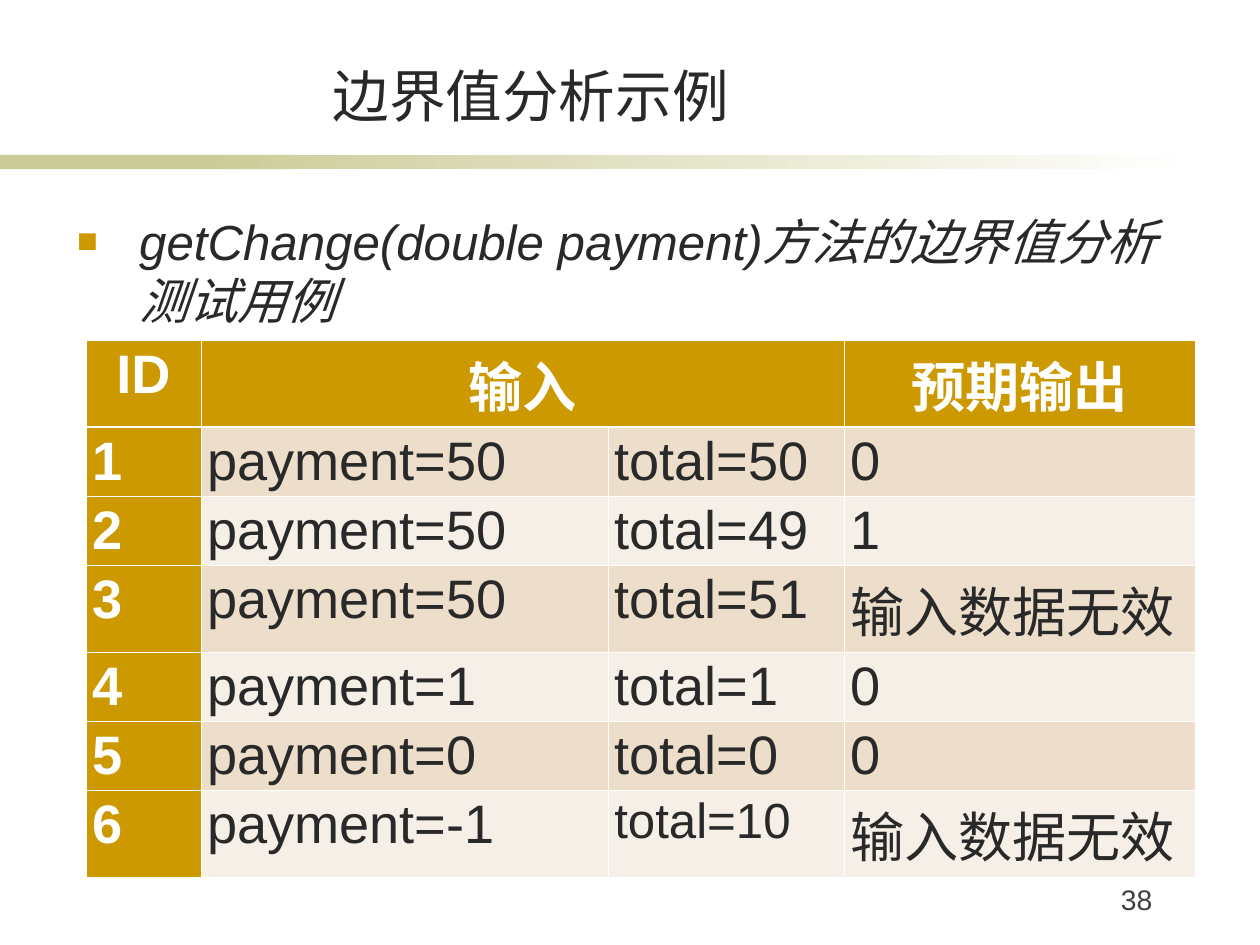
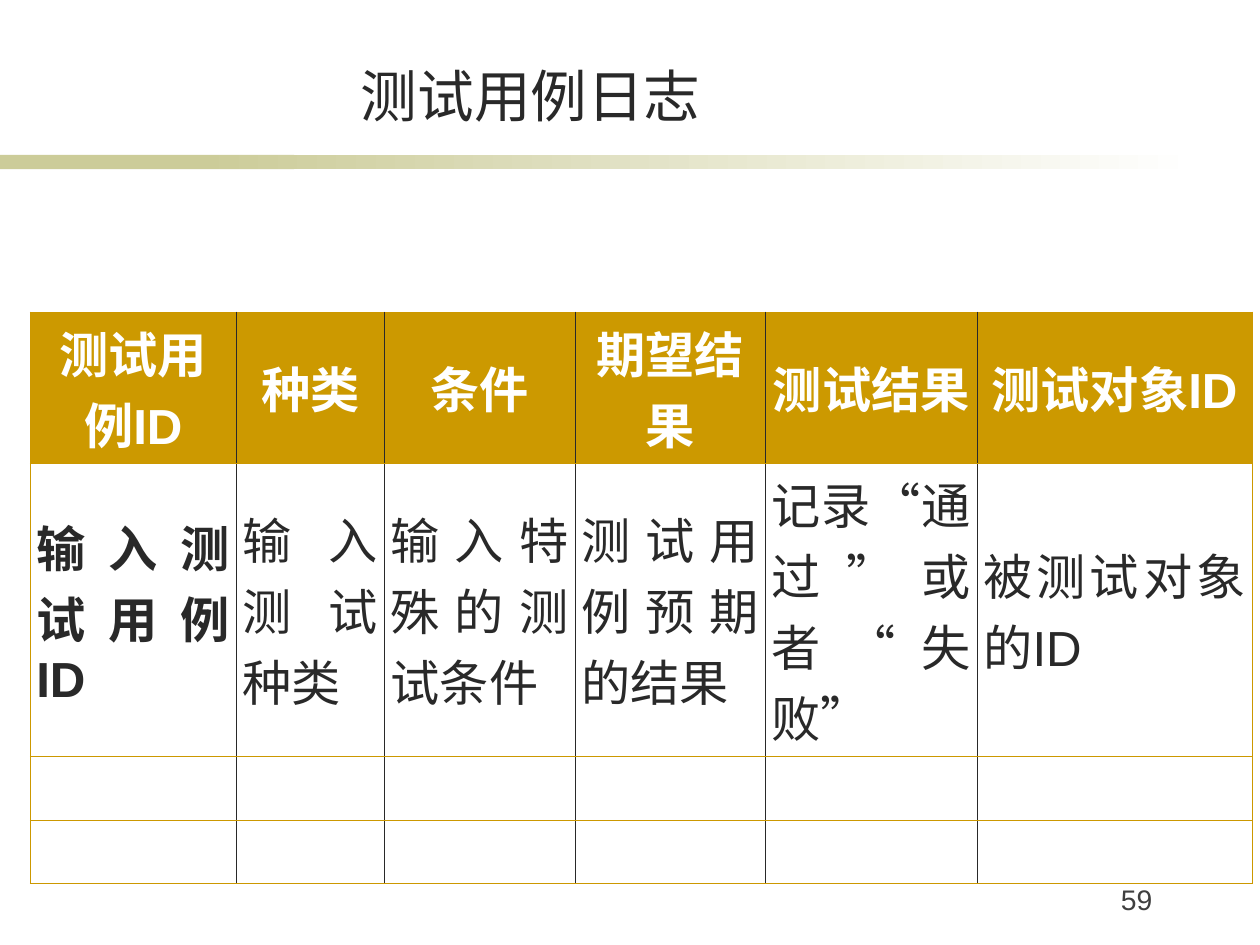
from dataclasses import dataclass
from typing import Any, Optional

import lxml.etree
import pptx
import pptx.dml.color
import pptx.enum.lang
import pptx.enum.shapes
import pptx.enum.text
import pptx.oxml.ns
import pptx.util

Cm = pptx.util.Cm
Pt = pptx.util.Pt
qn = pptx.oxml.ns.qn
Align = pptx.enum.text.PP_ALIGN
Anchor = pptx.enum.text.MSO_ANCHOR

FONT = "Arial"
INK = "292929"
GOLD = "CC9900"
RULE_GOLD = "CC9800"
WHITE = "FFFFFF"
OLIVE = "CCCC99"
STRIPES = ("F6EFE7", "ECDECB")


@dataclass(frozen=True)
class Box:
    left: float
    top: float
    width: float
    height: float


@dataclass(frozen=True)
class Band:
    box: Box
    fade_to: Optional[str] = None


@dataclass(frozen=True)
class Line:
    color: str
    width: float


@dataclass(frozen=True)
class CellStyle:
    color: str = INK
    fill: Optional[str] = None
    bold: bool = False
    size: float = 40
    align: Any = Align.JUSTIFY
    anchor: Any = Anchor.TOP


@dataclass(frozen=True)
class Grid:
    left: float
    top: float
    cols: tuple[float, ...]
    rows: tuple[float, ...]
    texts: tuple[tuple[str, ...], ...]


TITLE_BOX = Box(4.11, 1.58, 22.2, 2.29)
BODY_BOX = Box(1.85, 5.87, 32.16, 17.35)
NUMBER_BOX = Box(29.72, 25.1, 3.68, 1.8)
BANDS = (
    Band(Box(0, 4.44, 8.43, 0.41)),
    Band(Box(5.72, 4.44, 28.6, 0.41), WHITE),
)

BOUNDARY_CASES = Grid(
    2.46, 9.75, (3.3, 11.67, 6.76, 10.07), (1.85,) * 7,
    (
        ("ID", "输入", "", "预期输出"),
        ("1", "payment=50", "total=50", "0"),
        ("2", "payment=50", "total=49", "1"),
        ("3", "payment=50", "total=51", "输入数据无效"),
        ("4", "payment=1", "total=1", "0"),
        ("5", "payment=0", "total=0", "0"),
        ("6", "payment=-1", "total=10", "输入数据无效"),
    ),
)
CASE_LOG = Grid(
    0.86, 8.94, (5.92, 4.24, 5.46, 5.46, 6.07, 7.88), (3.38, 6.78, 1.83, 1.83),
    (
        ("测试用例ID", "种类", "条件", "期望结果", "测试结果", "测试对象ID"),
        ("输入测试用例ID", "输入测试种类", "输入特殊的测试条件", "测试用例预期的结果",
         "记录“通过”或者“失败”", "被测试对象的ID"),
        ("",) * 6,
        ("",) * 6,
    ),
)


def rgb(value: str) -> pptx.dml.color.RGBColor:
    return pptx.dml.color.RGBColor.from_string(value)


def area(box: Box) -> tuple[int, int, int, int]:
    return Cm(box.left), Cm(box.top), Cm(box.width), Cm(box.height)


def place(sp: Any, box: Box) -> None:
    sp.left, sp.top, sp.width, sp.height = area(box)


def set_frame(tf: Any, anchor: Any) -> None:
    tf.word_wrap = True
    tf.auto_size = pptx.enum.text.MSO_AUTO_SIZE.NONE
    tf.vertical_anchor = anchor
    tf.margin_left = tf.margin_right = Cm(0.36)
    tf.margin_top = tf.margin_bottom = Cm(0.18)


def write(p: Any, text: str, size: float, color: str, align: Any = Align.LEFT,
          bold: bool = False, italic: bool = False) -> None:
    p.alignment = align
    r = p.add_run()
    r.text = text
    r.font.name = FONT
    r.font.size = Pt(size)
    r.font.bold = bold
    r.font.italic = italic
    r.font.color.rgb = rgb(color)
    r.font.language_id = pptx.enum.lang.MSO_LANGUAGE_ID.SIMPLIFIED_CHINESE


def set_up_master(prs: Any) -> None:
    master = prs.slide_master
    kinds = pptx.enum.shapes.PP_PLACEHOLDER
    for sp in master.placeholders:
        if sp.placeholder_format.type == kinds.TITLE:
            place(sp, TITLE_BOX)
            set_frame(sp.text_frame, Anchor.BOTTOM)
        elif sp.placeholder_format.type == kinds.BODY:
            place(sp, BODY_BOX)
            set_frame(sp.text_frame, Anchor.TOP)


def move_bands_to_master(prs: Any, s: Any) -> None:
    tree = prs.slide_master.shapes.element
    for i, band in enumerate(BANDS):
        sp = s.shapes.add_shape(pptx.enum.shapes.MSO_SHAPE.RECTANGLE, *area(band.box))
        sp.shadow.inherit = False
        sp.line.fill.background()
        if band.fade_to:
            sp.fill.gradient()
            sp.fill.gradient_angle = 0
            for stop, color in zip(sp.fill.gradient_stops, (OLIVE, band.fade_to)):
                stop.color.rgb = rgb(color)
        else:
            sp.fill.solid()
            sp.fill.fore_color.rgb = rgb(OLIVE)
        sp.element.nvSpPr.cNvPr.set("id", str(20 + i))
        tree.insert(2 + i, sp.element)


def add_slide(prs: Any, layout: str, title: str) -> Any:
    s = prs.slides.add_slide(prs.slide_layouts.get_by_name(layout))
    write(s.shapes.title.text_frame.paragraphs[0], title, 46, INK, Align.CENTER)
    return s


def add_number(s: Any, number: int) -> None:
    tf = s.shapes.add_textbox(*area(NUMBER_BOX)).text_frame
    set_frame(tf, Anchor.TOP)
    write(tf.paragraphs[0], str(number), 23, "3F3F3F", Align.RIGHT)


def write_bullet(p: Any, text: str) -> None:
    p.space_before = Pt(0)
    p.line_spacing = 1.0
    pPr = p._p.get_or_add_pPr()
    pPr.set("marL", str(Cm(1.78)))
    pPr.set("indent", str(-Cm(1.78)))
    color = lxml.etree.SubElement(pPr, qn("a:buClr"))
    lxml.etree.SubElement(color, qn("a:srgbClr"), val=GOLD)
    lxml.etree.SubElement(pPr, qn("a:buSzPct"), val="70000")
    lxml.etree.SubElement(pPr, qn("a:buFont"), typeface=FONT)
    lxml.etree.SubElement(pPr, qn("a:buChar"), char="■")
    write(p, text, 40, INK, italic=True)


def set_borders(cell: Any, left: Line, right: Line, top: Line, bottom: Line) -> None:
    tcPr = cell._tc.get_or_add_tcPr()
    for i, (side, line) in enumerate(zip("LRTB", (left, right, top, bottom))):
        ln = lxml.etree.Element(qn(f"a:ln{side}"), w=str(Pt(line.width)))
        fill = lxml.etree.SubElement(ln, qn("a:solidFill"))
        lxml.etree.SubElement(fill, qn("a:srgbClr"), val=line.color)
        tcPr.insert(i, ln)


def fill_cell(cell: Any, text: str, style: CellStyle) -> None:
    cell.margin_left = cell.margin_right = Cm(0.18)
    cell.margin_top = cell.margin_bottom = Cm(0.12)
    cell.vertical_anchor = style.anchor
    if style.fill:
        cell.fill.solid()
        cell.fill.fore_color.rgb = rgb(style.fill)
    else:
        cell.fill.background()
    if text:
        write(cell.text_frame.paragraphs[0], text, style.size, style.color,
              style.align, style.bold)


def add_grid(s: Any, grid: Grid) -> Any:
    table = s.shapes.add_table(
        len(grid.rows), len(grid.cols), Cm(grid.left), Cm(grid.top),
        Cm(sum(grid.cols)), Cm(sum(grid.rows))).table
    table.first_row = table.horz_banding = False
    for col, width in zip(table.columns, grid.cols):
        col.width = Cm(width)
    for row, height in zip(table.rows, grid.rows):
        row.height = Cm(height)
    return table


def add_boundary_cases(s: Any) -> None:
    table = add_grid(s, BOUNDARY_CASES)
    thin, thick = Line(WHITE, 0.45), Line(WHITE, 1.47)
    for i, texts in enumerate(BOUNDARY_CASES.texts):
        for j, text in enumerate(texts):
            if i == 0:
                style = CellStyle(WHITE, GOLD, True, 44, Align.CENTER)
            elif j == 0:
                style = CellStyle(WHITE, GOLD, True, 44)
            else:
                style = CellStyle(fill=STRIPES[i % 2], size=40 if text == "total=10" else 44)
            cell = table.cell(i, j)
            fill_cell(cell, text, style)
            set_borders(cell, thin, thin, thick if i == 1 else thin, thick if i == 0 else thin)
    table.cell(0, 1).merge(table.cell(0, 2))


def add_case_log(s: Any) -> None:
    table = add_grid(s, CASE_LOG)
    edge, gold, dark = Line(RULE_GOLD, 0.45), Line(RULE_GOLD, 0.34), Line(INK, 0.45)
    last_row, last_col = len(CASE_LOG.rows) - 1, len(CASE_LOG.cols) - 1
    header = CellStyle(WHITE, GOLD, True, align=Align.CENTER, anchor=Anchor.MIDDLE)
    for i, texts in enumerate(CASE_LOG.texts):
        for j, text in enumerate(texts):
            cell = table.cell(i, j)
            body = CellStyle(bold=j == 0, anchor=Anchor.MIDDLE)
            fill_cell(cell, text, header if i == 0 else body)
            set_borders(cell, edge if j == 0 else dark, edge if j == last_col else dark,
                        edge if i == 0 else gold, edge if i == last_row else gold)


def main() -> None:
    prs = pptx.Presentation()
    prs.slide_width, prs.slide_height = Cm(36.12), Cm(27.08)
    set_up_master(prs)

    s = add_slide(prs, "Title and Content", "边界值分析示例")
    move_bands_to_master(prs, s)
    write_bullet(s.placeholders[1].text_frame.paragraphs[0],
                 "getChange(double payment)方法的边界值分析测试用例")
    add_boundary_cases(s)
    add_number(s, 38)

    s = add_slide(prs, "Title Only", "测试用例日志")
    add_case_log(s)
    add_number(s, 59)

    prs.save("out.pptx")


if __name__ == "__main__":
    main()
